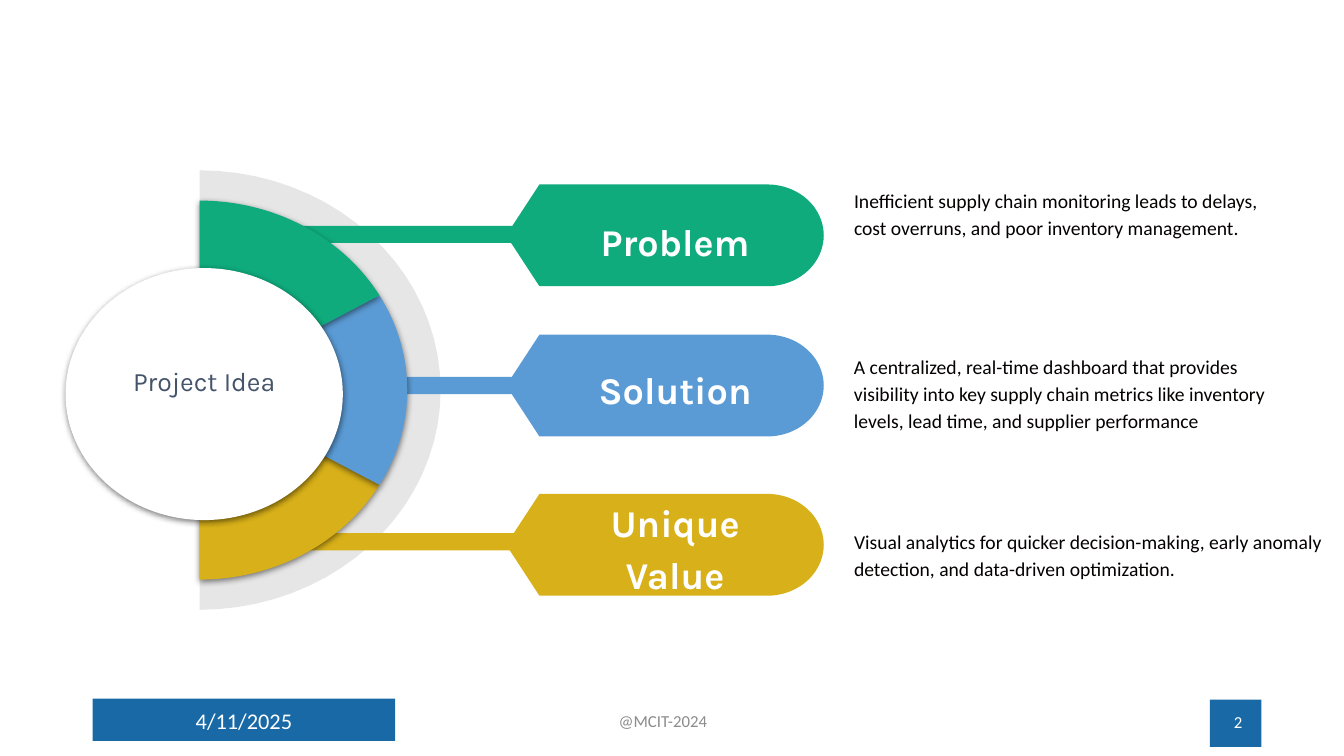
from math import cos, radians, sin

from lxml import etree
from pptx import Presentation
from pptx import util as u
from pptx.dml.color import RGBColor
from pptx.enum import shapes, text
from pptx.oxml.ns import qn

COLOURS = {
    "navy": "1869A6", "grey": "E7E6E6", "green": "0FAB7D", "blue": "5B9BD5",
    "gold": "D8B019", "white": "FFFFFF", "slate": "44546A", "ink": "040000",
    "muted": "8C8C8C", "black": "000000",
}
LEFT, CENTRE, RIGHT = text.PP_ALIGN.LEFT, text.PP_ALIGN.CENTER, text.PP_ALIGN.RIGHT
TOP, MIDDLE = text.MSO_ANCHOR.TOP, text.MSO_ANCHOR.MIDDLE
HUB = (1.98, 3.87)


def arc(centre, radii, start, stop, steps=40):
    """Return points on an ellipse, in degrees clockwise from the right."""
    angles = [radians(start + (stop - start) * i / steps) for i in range(steps + 1)]
    return [(centre[0] + radii[0] * cos(a), centre[1] + radii[1] * sin(a)) for a in angles]


class Painter:
    """Draw styled elements on one page."""

    def __init__(self, page):
        self.page = page

    def style(self, shape, colour, shadow=False):
        """Give a shape a flat fill and an optional soft shadow."""
        shape.fill.solid()
        shape.fill.fore_color.rgb = RGBColor.from_string(COLOURS[colour])
        shape.line.fill.background()
        shape.shadow.inherit = False
        if shadow:
            effects = shape._element.spPr.find(qn("a:effectLst"))
            outer = etree.SubElement(
                effects, qn("a:outerShdw"), blurRad=str(u.Pt(4.5)), dist=str(u.Pt(1.5)),
                dir="5400000", algn="t", rotWithShape="0")
            tint = etree.SubElement(outer, qn("a:srgbClr"), val=COLOURS["black"])
            etree.SubElement(tint, qn("a:alpha"), val="50000")

    def preset(self, kind, frame, colour, shadow=False):
        """Add a preset shape."""
        shape = self.page.shapes.add_shape(kind, *map(u.Inches, frame))
        self.style(shape, colour, shadow)
        return shape

    def outline(self, points, colour, shadow=False):
        """Add a closed freeform."""
        corners = [(u.Inches(x), u.Inches(y)) for x, y in points]
        builder = self.page.shapes.build_freeform(*corners[0])
        builder.add_line_segments(corners[1:], close=True)
        self.style(builder.convert_to_shape(), colour, shadow)

    def sector(self, radii, start, stop, colour, shadow=False):
        """Add a slice of the wheel."""
        self.outline([HUB] + arc(HUB, radii, start, stop), colour, shadow)

    def tag(self, top, colour):
        """Add a label plate with a pointed left and a round right end."""
        half = 0.505
        cap = arc((7.61, top + half), (0.56, half), -90, 90)
        self.outline([(5.02, top + half), (5.35, top)] + cap + [(5.35, top + 2 * half)], colour)

    def stem(self, top, colour):
        """Add the bar that joins the wheel to a tag."""
        bar = self.preset(shapes.MSO_SHAPE.ROUNDED_RECTANGLE, (2.8, top, 2.62, 0.17), colour)
        bar.adjustments[0] = 0.5

    def label(self, words, frame, size, colour, font="Calibri", align=LEFT, anchor=MIDDLE,
              bold=False, spacing=None, insets=(0, 0.01, 0, 0)):
        """Add a text box with one paragraph."""
        box = self.page.shapes.add_textbox(*map(u.Inches, frame)).text_frame
        box.word_wrap = True
        box.vertical_anchor = anchor
        box.margin_left, box.margin_top, box.margin_right, box.margin_bottom = map(u.Inches, insets)
        para = box.paragraphs[0]
        para.text = words
        para.alignment = align
        if spacing:
            para.line_spacing = spacing
        para.font.name, para.font.size, para.font.bold = font, u.Pt(size), bold
        para.font.color.rgb = RGBColor.from_string(COLOURS[colour])


def main():
    """Build the project idea slide."""
    deck = Presentation()
    deck.slide_width, deck.slide_height = u.Inches(13.33), u.Inches(7.5)
    painter = Painter(deck.slides.add_slide(deck.slide_layouts[6]))

    for frame in ((0.92, 6.93, 3, 0.42), (12, 6.94, 0.51, 0.47)):
        painter.preset(shapes.MSO_SHAPE.RECTANGLE, frame, "navy")
    footers = [
        ("4/11/2025", (0.92, 6.95, 3, 0.4), 16, "white", CENTRE),
        ("@MCIT-2024", (4.24, 6.95, 4.67, 0.4), 12, "muted", CENTRE),
        ("2", (9.42, 6.96, 3, 0.4), 12, "white", RIGHT),
    ]
    for words, frame, size, colour, align in footers:
        painter.label(words, frame, size, colour, align=align, insets=(0.1, 0.05, 0.1, 0.05))

    topics = [
        ("Unique Value", "gold", 4.9, 5.29, 4.92, (8.47, 5.07, 4.78, 0.83), MIDDLE,
         "Visual analytics for quicker decision-making, early anomaly detection, "
         "and data-driven optimization."),
        ("Solution", "blue", 3.32, 3.74, 3.34, (8.47, 3.47, 4.27, 0.83), MIDDLE,
         "A centralized, real-time dashboard that provides visibility into key supply chain "
         "metrics like inventory levels, lead time, and supplier performance"),
        ("Problem", "green", 1.83, 2.24, 1.87, (8.47, 1.83, 4.35, 0.82), TOP,
         "Inefficient supply chain monitoring leads to delays, cost overruns, "
         "and poor inventory management."),
    ]
    painter.sector((2.39, 2.18), -90, 90, "grey")
    for name, colour, tag_top, stem_top, name_top, frame, anchor, detail in topics:
        painter.tag(tag_top, colour)
        painter.stem(stem_top, colour)
        painter.label(name, (5.54, name_top, 2.31, 0.97), 27, "white", "Karla", CENTRE,
                      bold=True, spacing=1.15, insets=(0.1, 0.01, 0.1, 0))
        painter.label(detail, frame, 14, "ink", anchor=anchor, spacing=1.15)
    for index, topic in enumerate(topics):
        stop = 90 - 60 * index
        painter.sector((2.06, 1.88), stop - 60, stop, topic[1], shadow=True)

    painter.preset(shapes.MSO_SHAPE.OVAL, (0.65, 2.66, 2.75, 2.5), "white", shadow=True)
    painter.label("Project Idea", (1.11, 3.61, 1.83, 0.83), 19, "slate", "Karla", CENTRE, TOP)
    deck.save("out.pptx")


if __name__ == "__main__":
    main()
